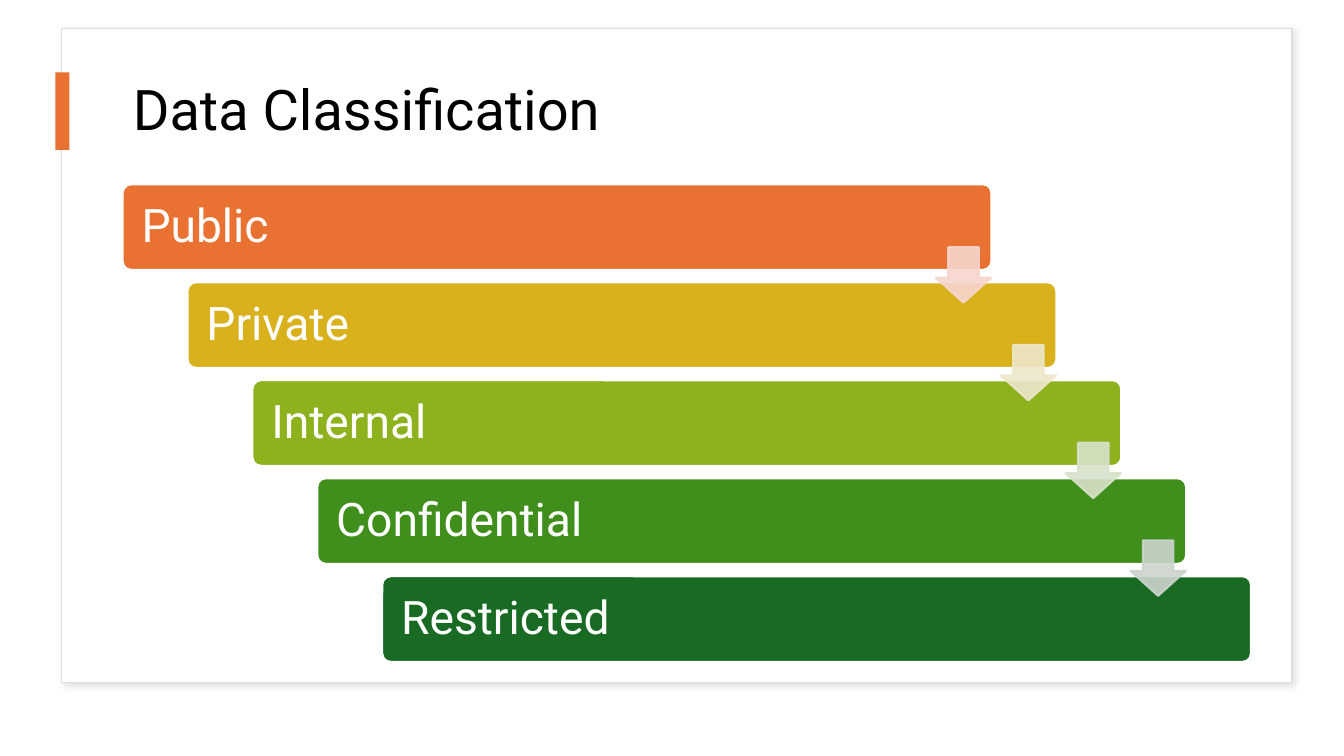
from lxml.etree import SubElement
from pptx import Presentation
from pptx.dml.color import RGBColor
from pptx.enum.shapes import MSO_SHAPE
from pptx.enum.text import MSO_ANCHOR, PP_ALIGN
from pptx.oxml.ns import qn
from pptx.util import Pt

WHITE = RGBColor(0xFF, 0xFF, 0xFF)
BLACK = RGBColor(0x00, 0x00, 0x00)
ORANGE = RGBColor(0xE9, 0x71, 0x32)
FRAME_GREY = RGBColor(0xDE, 0xDE, 0xDE)
FONT = "Roboto"

TITLE = "Data Classification"
# Level name, bar colour, colour of the arrow to the next level
LEVELS = [
    ("Public", ORANGE, RGBColor(0xF7, 0xD5, 0xCE)),
    ("Private", RGBColor(0xD8, 0xB1, 0x1D), RGBColor(0xEE, 0xE7, 0xCB)),
    ("Internal", RGBColor(0x8E, 0xB2, 0x1E), RGBColor(0xD8, 0xE2, 0xCA)),
    ("Confidential", RGBColor(0x40, 0x8E, 0x1C), RGBColor(0xCC, 0xD4, 0xCD)),
    ("Restricted", RGBColor(0x19, 0x6B, 0x24), None),
]

BAR_LEFT, BAR_TOP, BAR_WIDTH, BAR_HEIGHT = 87.6, 131.6, 620.6, 61.2
STEP_X, STEP_Y = 46.35, 70
ARROW_LEFT, ARROW_TOP, ARROW_SIZE, ARROW_STEP_Y = 668.4, 176.6, 39.6, 69.8
BAR_INSET = 11.7


def add_block(slide, preset, box, fill, line=None, line_width=1.5, adjustments=()):
    block = slide.shapes.add_shape(preset, *map(Pt, box))
    block.shadow.inherit = False
    block.fill.solid()
    block.fill.fore_color.rgb = fill
    if line is None:
        block.line.fill.background()
    else:
        block.line.color.rgb = line
        block.line.width = Pt(line_width)
    for index, value in enumerate(adjustments):
        block.adjustments[index] = value
    return block


def write(holder, text, size, color, inset):
    """Put one left-aligned, vertically centred line into a shape."""
    frame = holder.text_frame
    frame.word_wrap = True
    frame.vertical_anchor = MSO_ANCHOR.MIDDLE
    frame.margin_left = frame.margin_right = Pt(inset)
    paragraph = frame.paragraphs[0]
    paragraph.alignment = PP_ALIGN.LEFT
    paragraph.line_spacing = 0.9
    run = paragraph.add_run()
    run.text = text
    run.font.name = FONT
    run.font.size = Pt(size)
    run.font.color.rgb = color


def set_opacity(block, percent):
    """Apply the same opacity to the fill and the outline."""
    for color in block._element.spPr.iter(qn("a:srgbClr")):
        SubElement(color, qn("a:alpha"), val=str(percent * 1000))


def add_soft_shadow(block):
    effects = block._element.spPr.find(qn("a:effectLst"))
    shadow = SubElement(effects, qn("a:outerShdw"), blurRad=str(Pt(4)),
                        dist=str(Pt(3)), dir=str(45 * 60000), algn="tl", rotWithShape="0")
    color = SubElement(shadow, qn("a:srgbClr"), val="C5C5C5")
    SubElement(color, qn("a:alpha"), val="50000")


def main():
    deck = Presentation()
    deck.slide_width, deck.slide_height = Pt(960), Pt(540)
    slide = deck.slides.add_slide(deck.slide_layouts[6])

    card = add_block(slide, MSO_SHAPE.RECTANGLE, (44, 20.2, 879, 467.3), WHITE, FRAME_GREY, 1)
    add_soft_shadow(card)
    title = slide.shapes.add_textbox(Pt(87.8), Pt(40.3), Pt(805.7), Pt(79.9))
    write(title, TITLE, 40, BLACK, 7.2)
    add_block(slide, MSO_SHAPE.RECTANGLE, (39.6, 51.8, 10.1, 55.4), ORANGE)

    for index, (level, bar_color, _) in enumerate(LEVELS):
        box = (BAR_LEFT + index * STEP_X, BAR_TOP + index * STEP_Y, BAR_WIDTH, BAR_HEIGHT)
        bar = add_block(slide, MSO_SHAPE.ROUNDED_RECTANGLE, box, bar_color, WHITE,
                        adjustments=(0.1,))
        write(bar, level, 33, WHITE, BAR_INSET)

    for index, (_, _, arrow_color) in enumerate(LEVELS[:-1]):
        box = (ARROW_LEFT + index * STEP_X, ARROW_TOP + index * ARROW_STEP_Y,
               ARROW_SIZE, ARROW_SIZE)
        arrow = add_block(slide, MSO_SHAPE.DOWN_ARROW, box, arrow_color, arrow_color,
                          adjustments=(0.55, 0.45))
        set_opacity(arrow, 90)

    deck.save("out.pptx")


if __name__ == "__main__":
    main()
